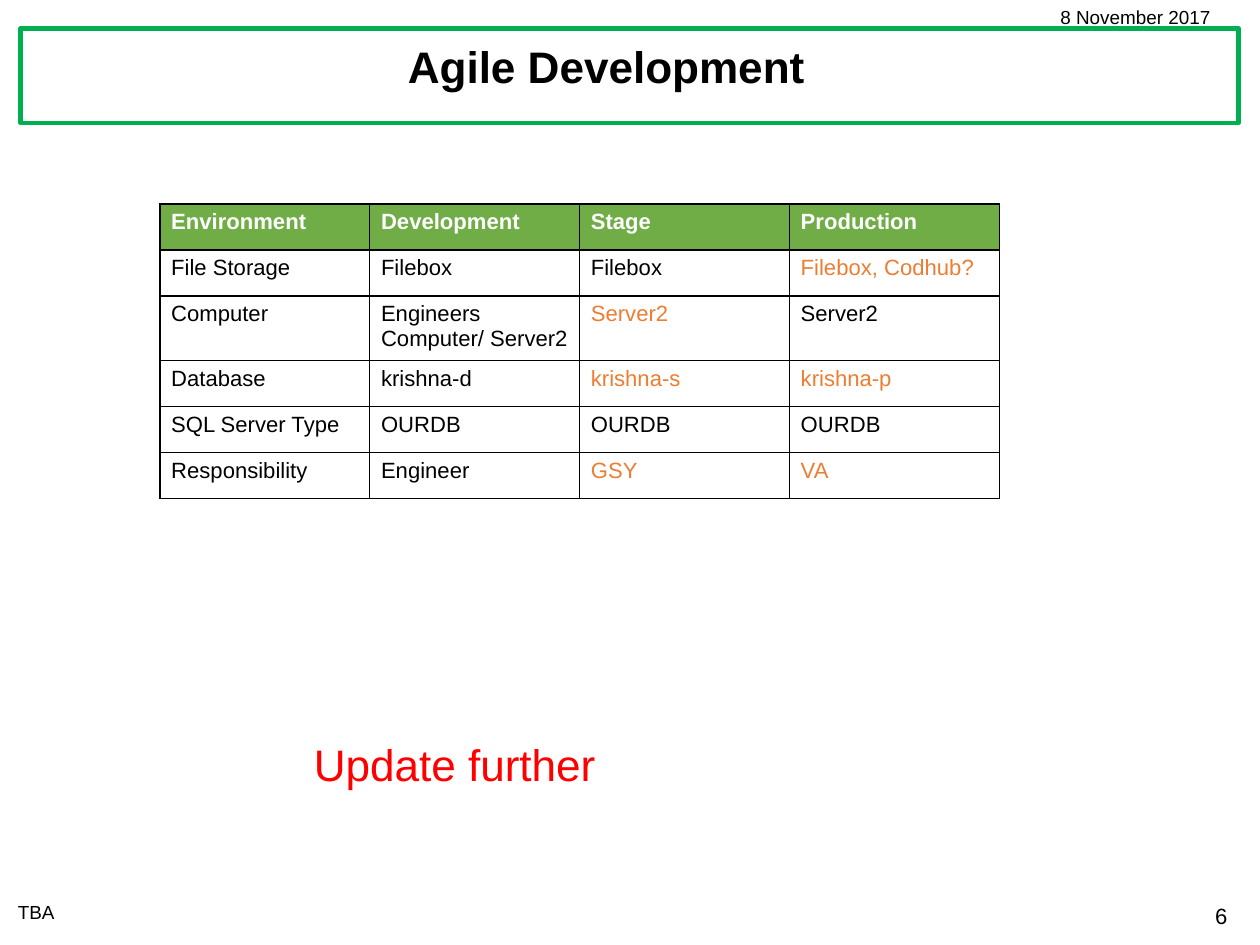
from lxml.etree import SubElement
from pptx import Presentation
from pptx.dml.color import RGBColor
from pptx.enum.shapes import MSO_SHAPE
from pptx.enum.text import MSO_ANCHOR, PP_ALIGN
from pptx.oxml.ns import qn
from pptx.util import Cm, Pt

BLACK, WHITE, RED = "000000", "FFFFFF", "FF0000"
FRAME_GREEN, HEADER_GREEN, ORANGE = "00B050", "70AD47", "ED7D31"

ENVIRONMENTS = [
    ["Environment", "Development", "Stage", "Production"],
    ["File Storage", "Filebox", "Filebox", "Filebox, Codhub?"],
    ["Computer", "Engineers Computer/ Server2", "Server2", "Server2"],
    ["Database", "krishna-d", "krishna-s", "krishna-p"],
    ["SQL Server Type", "OURDB", "OURDB", "OURDB"],
    ["Responsibility", "Engineer", "GSY", "VA"],
]
# (row, column) of the entries set in orange
OPEN_ENTRIES = {(1, 3), (2, 2), (3, 2), (3, 3), (5, 2), (5, 3)}


def rgb(color):
    return RGBColor.from_string(color)


def set_text(tf, text, size, color=BLACK, bold=False, **paragraph_format):
    p = tf.paragraphs[0]
    for name, value in paragraph_format.items():
        setattr(p, name, value)
    r = p.add_run()
    r.text = text
    font = {"name": "Arial", "size": Pt(size), "bold": bold}
    for name, value in font.items():
        setattr(r.font, name, value)
    r.font.color.rgb = rgb(color)


def add_text(s, box, text, size, anchor=MSO_ANCHOR.TOP, **text_format):
    tf = s.shapes.add_textbox(*map(Cm, box)).text_frame
    tf.word_wrap = True
    tf.vertical_anchor = anchor
    set_text(tf, text, size, **text_format)


def add_frame(s, box):
    sp = s.shapes.add_shape(MSO_SHAPE.RECTANGLE, *map(Cm, box))
    sp.shadow.inherit = False
    sp.fill.solid()
    sp.fill.fore_color.rgb = rgb(WHITE)
    sp.line.color.rgb = rgb(FRAME_GREEN)
    sp.line.width = Pt(2.75)


def add_borders(cell, color):
    """Draw all four cell edges; call before the fill, which must follow them."""
    tc_pr = cell._tc.get_or_add_tcPr()
    for edge in ("a:lnL", "a:lnR", "a:lnT", "a:lnB"):
        ln = SubElement(tc_pr, qn(edge), w=str(Pt(1)))
        fill = SubElement(ln, qn("a:solidFill"))
        SubElement(fill, qn("a:srgbClr"), val=color)


def add_table(s, left, top, col_width, row_height, rows):
    n_rows, n_cols = len(rows), len(rows[0])
    table = s.shapes.add_table(n_rows, n_cols, Cm(left), Cm(top),
                               Cm(col_width * n_cols),
                               Cm(row_height * n_rows)).table
    for col in table.columns:
        col.width = Cm(col_width)
    for i, texts in enumerate(rows):
        table.rows[i].height = Cm(row_height)
        for j, text in enumerate(texts):
            cell = table.cell(i, j)
            header = i == 0
            add_borders(cell, BLACK)
            cell.fill.solid()
            cell.fill.fore_color.rgb = rgb(HEADER_GREEN if header else WHITE)
            color = WHITE if header else ORANGE if (i, j) in OPEN_ENTRIES else BLACK
            set_text(cell.text_frame, text, 14, color, bold=header)


def main():
    prs = Presentation()
    prs.slide_width, prs.slide_height = Cm(28.22), Cm(21.16)
    s = prs.slides.add_slide(prs.slide_layouts[6])

    add_frame(s, (0.46, 0.64, 27.28, 2.11))
    add_text(s, (23.88, 20.09, 3.86, 0.86), "6", 14, alignment=PP_ALIGN.RIGHT)
    add_text(s, (0.15, 20.04, 10.87, 0.76), "TBA", 12)
    add_text(s, (23.5, 0, 4.27, 0.76), "8 November 2017", 12)
    add_text(s, (0, 0.79, 27.15, 1.5), "Agile Development", 28,
             anchor=MSO_ANCHOR.MIDDLE, bold=True, alignment=PP_ALIGN.CENTER,
             line_spacing=0.9, space_before=Pt(10))
    add_table(s, 3.58, 4.57, 4.7, 1.03, ENVIRONMENTS)
    add_text(s, (6.78, 16.38, 16.56, 1.45), "Update further", 28, color=RED)

    prs.save("out.pptx")


if __name__ == "__main__":
    main()
